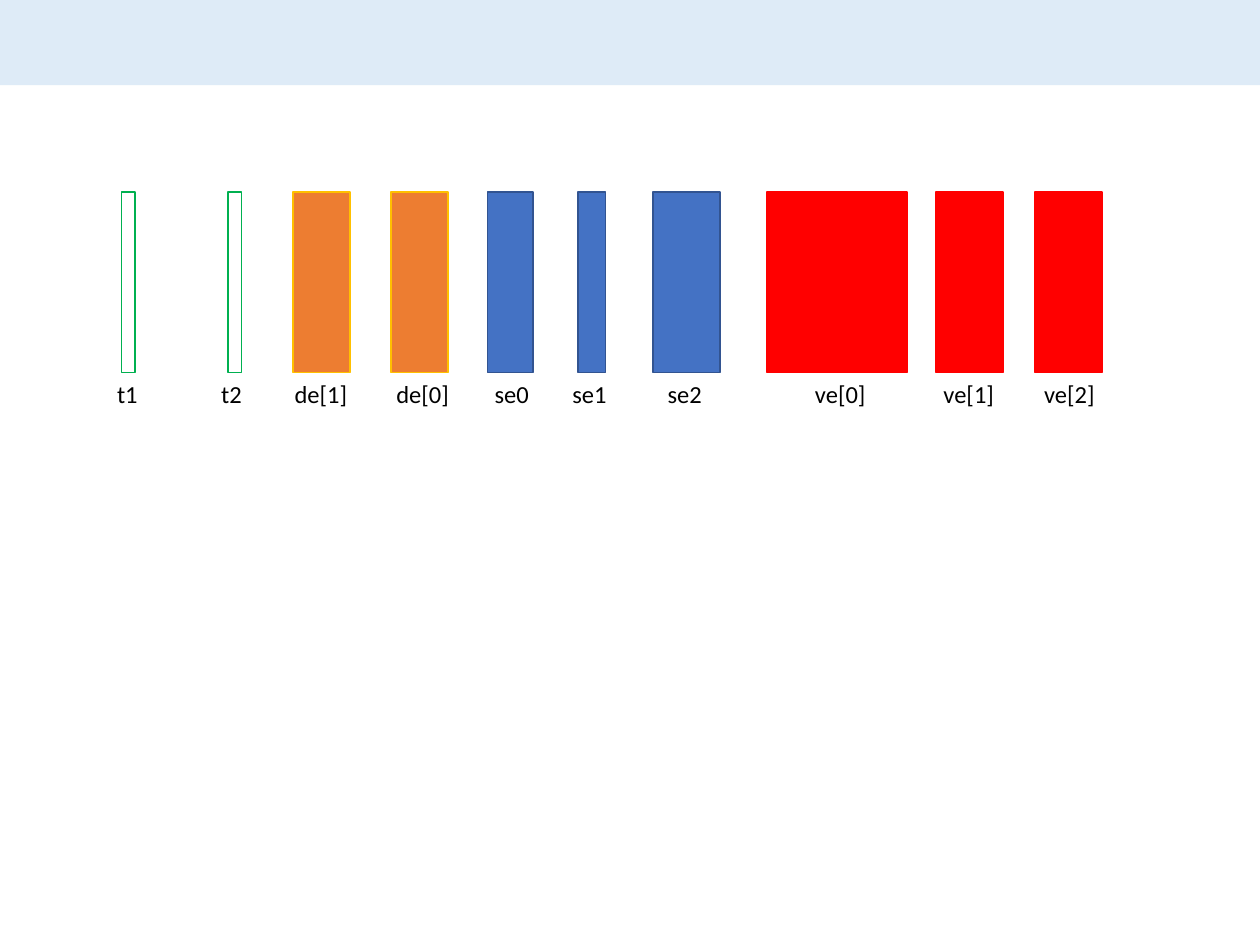
import pptx
import pptx.util
import pptx.dml.color
import pptx.enum.shapes
import pptx.enum.text

Cm = pptx.util.Cm
Pt = pptx.util.Pt

COLORS = {
    "band": "DEEBF7",
    "orange": "ED7D31",
    "gold": "FFC000",
    "blue": "4472C4",
    "navy": "325491",
    "red": "FF0000",
    "green": "00B050",
    "text": "000000",
}
STYLES = {
    "t": (None, "green", 0.94),
    "de": ("orange", "gold", 1.57),
    "se": ("blue", "navy", 1.22),
    "ve": ("red", "red", 1.55),
}
BARS = [
    ("t1", "t", 2.45, 0.28, 2.11),
    ("t2", "t", 4.59, 0.28, 4.21),
    ("de[1]", "de", 5.91, 1.15, 5.69),
    ("de[0]", "de", 7.88, 1.15, 7.74),
    ("se0", "se", 9.83, 0.91, 9.72),
    ("se1", "se", 11.65, 0.56, 11.29),
    ("se2", "se", 13.16, 1.35, 13.21),
    ("ve[0]", "ve", 15.47, 2.82, 16.18),
    ("ve[1]", "ve", 18.87, 1.35, 18.77),
    ("ve[2]", "ve", 20.86, 1.35, 20.8),
]
BAR_TOP = 3.87
BAR_HEIGHT = 3.64


def rgb(name):
    return pptx.dml.color.RGBColor.from_string(COLORS[name])


def add_rect(s, left, top, width, height, fill=None, line=None):
    rect = s.shapes.add_shape(
        pptx.enum.shapes.MSO_SHAPE.RECTANGLE,
        Cm(left), Cm(top), Cm(width), Cm(height))
    rect.shadow.inherit = False
    if fill:
        rect.fill.solid()
        rect.fill.fore_color.rgb = rgb(fill)
    else:
        rect.fill.background()
    if line:
        rect.line.color.rgb = rgb(line)
        rect.line.width = Pt(1)
    else:
        rect.line.fill.background()


def add_label(s, text, left, top, width):
    box = s.shapes.add_textbox(Cm(left), Cm(top), Cm(width), Cm(0.86))
    tf = box.text_frame
    tf.word_wrap = False
    tf.auto_size = pptx.enum.text.MSO_AUTO_SIZE.SHAPE_TO_FIT_TEXT
    p = tf.paragraphs[0]
    p.text = text
    p.font.name = "Calibri"
    p.font.size = Pt(14)
    p.font.color.rgb = rgb("text")


def main():
    prs = pptx.Presentation()
    prs.slide_width = Cm(25.4)
    prs.slide_height = Cm(19.05)
    s = prs.slides.add_slide(prs.slide_layouts[6])
    add_rect(s, 0, 0, 25.4, 1.72, "band")
    for text, style, left, width, label_left in BARS:
        fill, line, label_width = STYLES[style]
        add_rect(s, left, BAR_TOP, width, BAR_HEIGHT, fill, line)
        add_label(s, text, label_left, BAR_TOP + BAR_HEIGHT, label_width)
    prs.save("out.pptx")


main()
